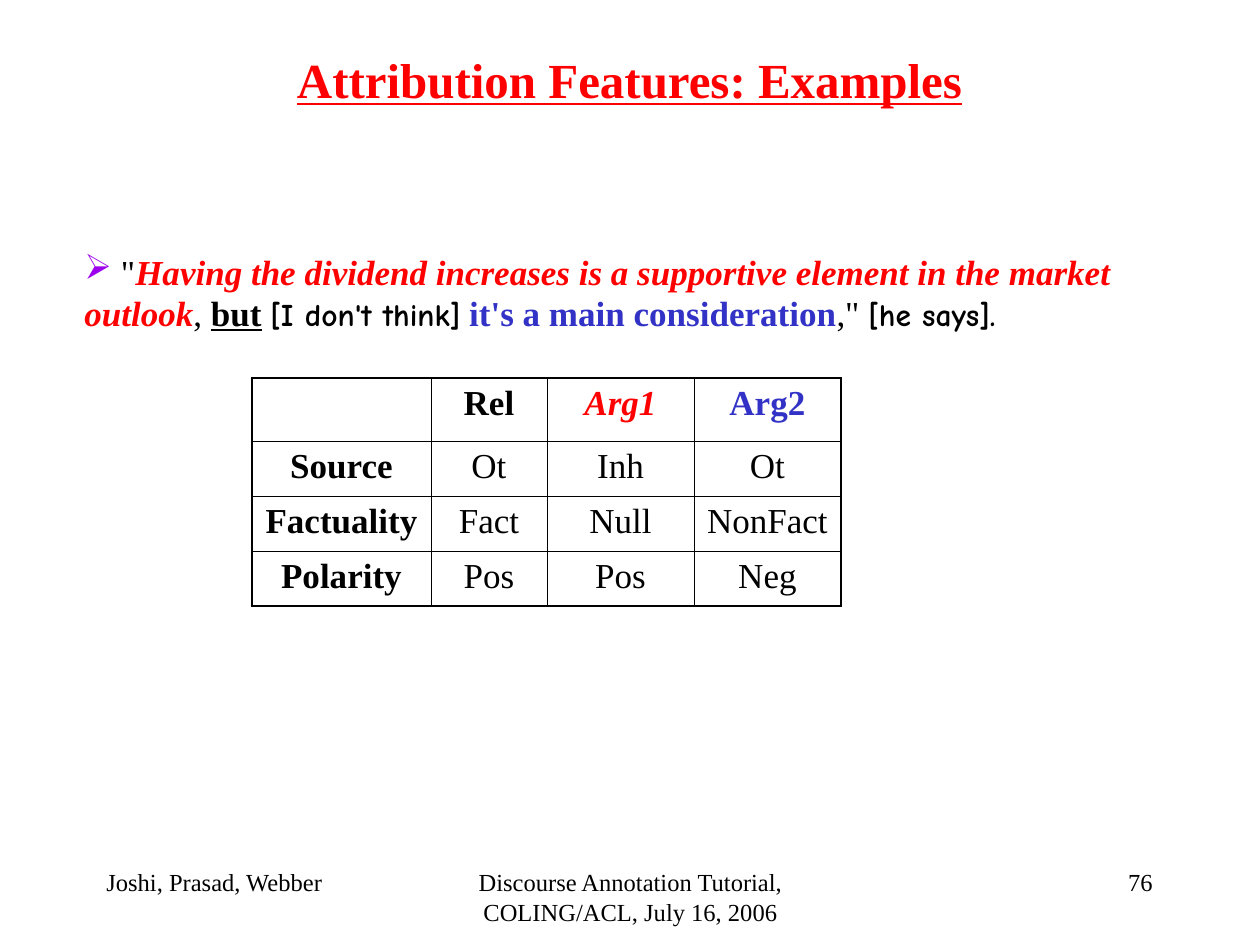
from lxml import etree
from pptx import Presentation, util as u
from pptx.dml.color import RGBColor
from pptx.enum import text as t
from pptx.oxml import ns

PX = u.Inches(1) / 126
BLACK = RGBColor(0, 0, 0)
RED = RGBColor(0xFF, 0, 0)
BLUE = RGBColor(0x32, 0x32, 0xC6)
SERIF, COMIC = "Times New Roman", "Comic Neue"
LEFT, MID, RIGHT = t.PP_ALIGN.LEFT, t.PP_ALIGN.CENTER, t.PP_ALIGN.RIGHT


def write(para, words, size=20, color=BLACK, face=SERIF, bold=False,
          italic=False, under=False, align=LEFT):
    para.alignment = align
    run = para.add_run()
    run.text = words
    font = run.font
    font.size, font.name, font.color.rgb = u.Pt(size), face, color
    font.bold, font.italic, font.underline = bold, italic, under


def frame(*area):
    """Add a wrapping text box, its area in px, and return its text frame."""
    box = slide.shapes.add_textbox(*(round(n * PX) for n in area))
    box.text_frame.word_wrap = True
    return box.text_frame


prs = Presentation()
prs.slide_width, prs.slide_height = round(1260 * PX), round(945 * PX)
slide = prs.slides.add_slide(prs.slide_layouts[6])

# Title
title = frame(94, 0, 1071, 158)
title.vertical_anchor = t.MSO_ANCHOR.MIDDLE
write(title.paragraphs[0], "Attribution Features: Examples", size=28,
      color=RED, bold=True, under=True, align=MID)

# Example sentence
quote = frame(72, 252, 1061, 88)
quote.word_wrap = False
quote.auto_size = t.MSO_AUTO_SIZE.SHAPE_TO_FIT_TEXT
first, second = quote.paragraphs[0], quote.add_paragraph()
first.line_spacing = second.line_spacing = 0.8
second.space_before = u.Pt(4.5)

props = first._p.get_or_add_pPr()
tint = etree.SubElement(props, ns.qn("a:buClr"))
etree.SubElement(tint, ns.qn("a:srgbClr"), val="9D00EC")
etree.SubElement(props, ns.qn("a:buChar"), char="➢")

arg1 = dict(color=RED, bold=True, italic=True)
arg2 = dict(color=BLUE, bold=True)
said = dict(size=18, face=COMIC, bold=True)
write(first, ' "')
write(first, "Having the dividend increases is a supportive element in the market", **arg1)
for words, style in [
    ("outlook", arg1),
    (", ", {}),
    ("but", dict(bold=True, under=True)),
    (" ", {}),
    ("[I don't think]", said),
    (" ", {}),
    ("it's a main consideration", arg2),
    ('," ', {}),
    ("[he says].", said),
]:
    write(second, words, **style)

# Feature table
ROWS = [
    ["", "Rel", "Arg1", "Arg2"],
    ["Source", "Ot", "Inh", "Ot"],
    ["Factuality", "Fact", "Null", "NonFact"],
    ["Polarity", "Pos", "Pos", "Neg"],
]
WIDTHS = [179, 116, 147, 147]
HEIGHTS = [63, 55, 55, 55]
area = (252, 378, sum(WIDTHS), sum(HEIGHTS))
table = slide.shapes.add_table(4, 4, *(round(n * PX) for n in area)).table
table.first_row = table.horz_banding = False
for col, width in zip(table.columns, WIDTHS):
    col.width = round(width * PX)
for row, height in zip(table.rows, HEIGHTS):
    row.height = round(height * PX)

for r, row in enumerate(ROWS):
    for c, words in enumerate(row):
        cell = table.cell(r, c)
        edges = {"lnL": c == 0, "lnR": c == 3, "lnT": r == 0, "lnB": r == 3}
        for tag, outer in edges.items():
            line = etree.SubElement(cell._tc.get_or_add_tcPr(), ns.qn("a:" + tag),
                                    w=str(u.Pt(1.08 if outer else 0.45)))
            ink = etree.SubElement(line, ns.qn("a:solidFill"))
            etree.SubElement(ink, ns.qn("a:srgbClr"), val=str(BLACK))
        cell.fill.background()
        if words:
            style = {"Arg1": arg1, "Arg2": arg2}.get(words, dict(bold=r == 0 or c == 0))
            write(cell.text_frame.paragraphs[0], words, align=MID, **style)

# Footer
for left, width, words, align in [
    (94, 262, "Joshi, Prasad, Webber", LEFT),
    (431, 399, "Discourse Annotation Tutorial, COLING/ACL, July 16, 2006", MID),
    (903, 262, "76", RIGHT),
]:
    write(frame(left, 861, width, 63).paragraphs[0], words, size=14, align=align)

prs.save("out.pptx")
